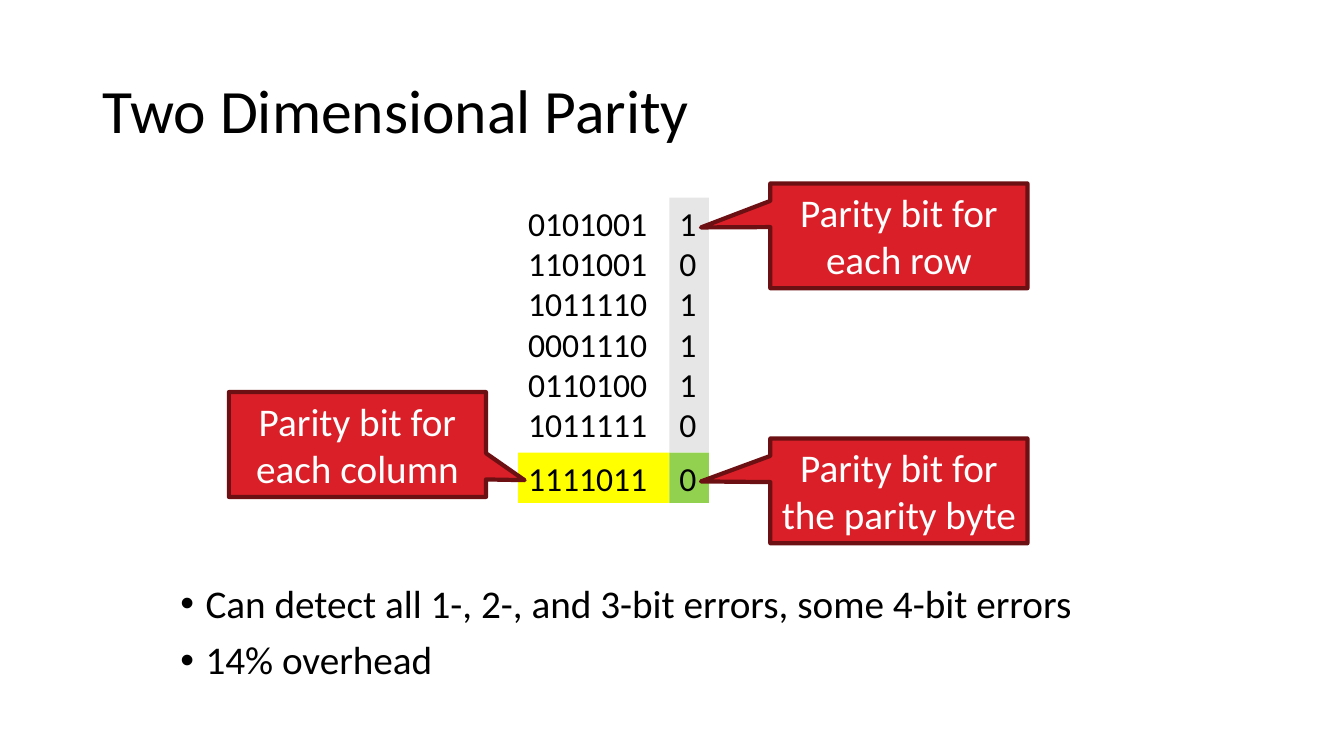
from pptx import Presentation
from pptx.dml.color import RGBColor
from pptx.enum.shapes import MSO_SHAPE
from pptx.enum.text import MSO_ANCHOR, PP_ALIGN
from pptx.oxml.ns import qn
from pptx.util import Inches, Pt
from lxml import etree

RECTANGLE = MSO_SHAPE.RECTANGLE
CALLOUT = MSO_SHAPE.RECTANGULAR_CALLOUT
TOP, MIDDLE = MSO_ANCHOR.TOP, MSO_ANCHOR.MIDDLE
LEFT, CENTER = PP_ALIGN.LEFT, PP_ALIGN.CENTER

FONT = "Calibri"
BLACK, WHITE = "000000", "FFFFFF"
GREY, YELLOW, GREEN = "E7E6E6", "FFFF00", "92D050"
RED, DARK_RED = "DA1F28", "6D1014"

DATA_ROWS = ["0101001", "1101001", "1011110", "0001110", "0110100", "1011111"]
ROW_PARITY = ["1", "0", "1", "1", "1", "0"]
COLUMN_PARITY = ["1111011"]
BYTE_PARITY = ["0"]

# Bit grid: data and parity columns, data rows above the parity row
GRID_LEFT, GRID_TOP = 5.14, 1.96
DATA_WIDTH, PARITY_WIDTH = 1.5, 0.39
DATA_HEIGHT, PARITY_HEIGHT = 2.53, 0.5
CALLOUT_WIDTH, CALLOUT_HEIGHT = 2.55, 1.04


def color(hex_string):
    return RGBColor.from_string(hex_string)


def add_bullet(paragraph):
    properties = paragraph._p.get_or_add_pPr()
    properties.set("marL", str(Inches(0.25)))
    properties.set("indent", str(-Inches(0.25)))
    bullet_font = etree.SubElement(properties, qn("a:buFont"))
    bullet_font.set("typeface", "Arial")
    etree.SubElement(properties, qn("a:buChar")).set("char", "•")


def write_text(shape, lines, size=24, font_color=BLACK, align=LEFT, anchor=TOP,
               line_spacing=None, gap=0, bullets=False):
    frame = shape.text_frame
    frame.word_wrap = True
    frame.vertical_anchor = anchor
    for index, line in enumerate(lines):
        paragraph = frame.add_paragraph() if index else frame.paragraphs[0]
        if bullets:
            add_bullet(paragraph)
        paragraph.alignment = align
        if line_spacing:
            paragraph.line_spacing = line_spacing
        if index and gap:
            paragraph.space_before = Pt(gap)
        run = paragraph.add_run()
        run.text = line
        run.font.name = FONT
        run.font.size = Pt(size)
        run.font.color.rgb = color(font_color)


def add_text(slide, left, top, width, height, lines, **text_format):
    box = slide.shapes.add_textbox(Inches(left), Inches(top), Inches(width), Inches(height))
    write_text(box, lines, **text_format)


def add_filled(slide, kind, left, top, width, height, fill, line=None):
    shape = slide.shapes.add_shape(
        kind, Inches(left), Inches(top), Inches(width), Inches(height))
    shape.shadow.inherit = False
    shape.fill.solid()
    shape.fill.fore_color.rgb = color(fill)
    if line:
        shape.line.color.rgb = color(line)
        shape.line.width = Pt(3)
    else:
        shape.line.fill.background()
    return shape


def add_bits(slide, left, top, width, height, fill, bits):
    cell = add_filled(slide, RECTANGLE, left, top, width, height, fill)
    write_text(cell, bits)


def add_callout(slide, left, top, tip, text):
    callout = add_filled(slide, CALLOUT, left, top, CALLOUT_WIDTH, CALLOUT_HEIGHT,
                         RED, DARK_RED)
    callout.adjustments[0], callout.adjustments[1] = tip
    write_text(callout, [text], size=28, font_color=WHITE, align=CENTER)


def main():
    presentation = Presentation()
    presentation.slide_width = Inches(13.33)
    presentation.slide_height = Inches(7.5)
    slide = presentation.slides.add_slide(presentation.slide_layouts[6])

    # Title and conclusions
    add_text(slide, 0.92, 0.4, 11.5, 1.45, ["Two Dimensional Parity"],
             size=44, anchor=MIDDLE, line_spacing=0.9)
    add_text(slide, 1.69, 5.75, 9.67, 1.65,
             ["Can detect all 1-, 2-, and 3-bit errors, some 4-bit errors", "14% overhead"],
             size=28, line_spacing=0.9, gap=10, bullets=True)

    # Data bits with their parity bits
    parity_left = GRID_LEFT + DATA_WIDTH
    parity_top = GRID_TOP + DATA_HEIGHT
    add_text(slide, GRID_LEFT, GRID_TOP, DATA_WIDTH, DATA_HEIGHT, DATA_ROWS)
    add_bits(slide, parity_left, GRID_TOP, PARITY_WIDTH, DATA_HEIGHT, GREY, ROW_PARITY)
    add_bits(slide, GRID_LEFT, parity_top, DATA_WIDTH, PARITY_HEIGHT, YELLOW, COLUMN_PARITY)
    add_bits(slide, parity_left, parity_top, PARITY_WIDTH, PARITY_HEIGHT, GREEN, BYTE_PARITY)

    # Callouts pointing at the parity bits
    add_callout(slide, 7.64, 1.82, (-0.77, -0.08), "Parity bit for each row")
    add_callout(slide, 2.27, 3.89, (0.65, 0.34), "Parity bit for each column")
    add_callout(slide, 7.64, 4.35, (-0.77, -0.09), "Parity bit for the parity byte")

    presentation.save("out.pptx")


if __name__ == "__main__":
    main()
